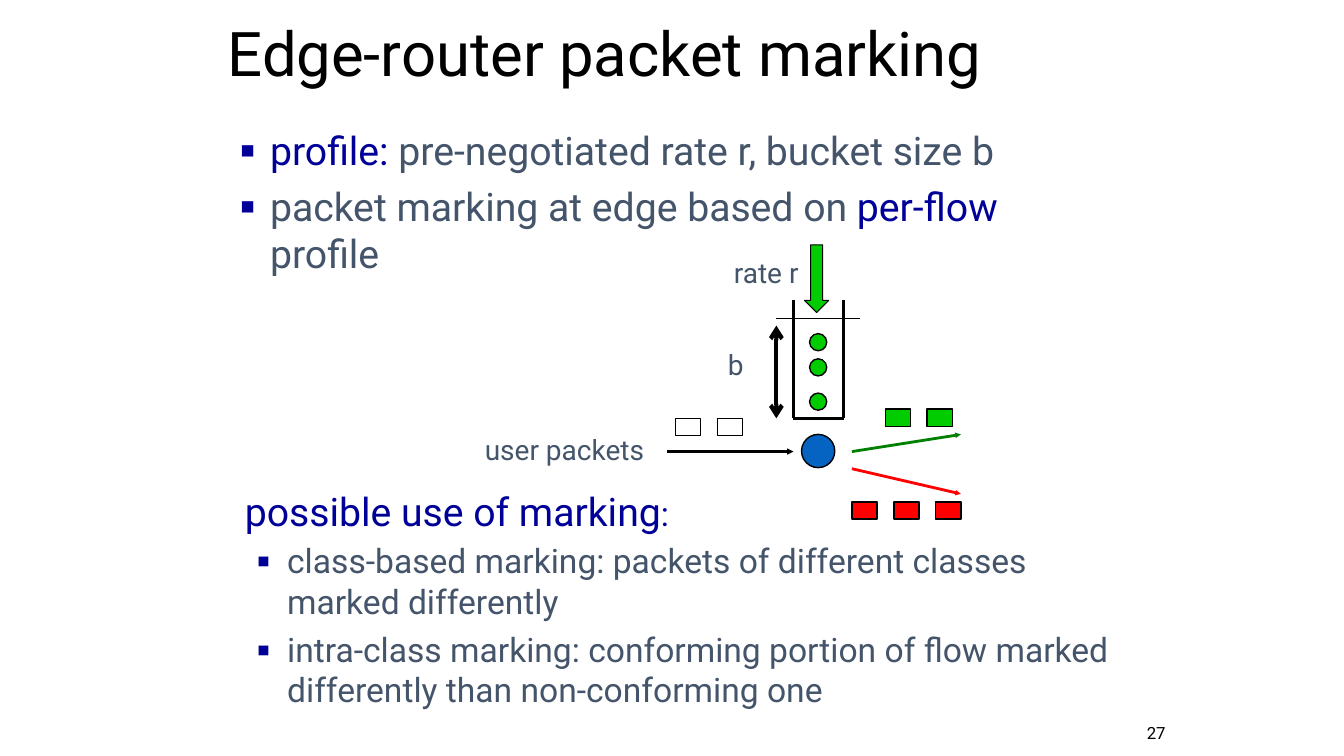
from pptx import Presentation
from pptx.dml.color import RGBColor
from pptx.enum.shapes import MSO_CONNECTOR, MSO_SHAPE
from pptx.enum.text import MSO_ANCHOR, PP_ALIGN
from pptx.oxml.ns import qn
from pptx.util import Inches, Pt
from lxml.etree import SubElement

THEME = {
    "font": "Roboto",
    "black": "000000", "white": "FFFFFF", "slate": "44546A", "navy": "000099",
    "token": "00CC00", "excess": "FF0000", "conforming": "008000", "meter": "0563C1",
    "title": 44, "body": 28, "detail": 24, "label": 20, "number": 12,
}

presentation = Presentation()
presentation.slide_width = Inches(13.33)
presentation.slide_height = Inches(7.5)
slide = presentation.slides.add_slide(presentation.slide_layouts[6])


def add_text(box, paragraphs, bullet=False, anchor=MSO_ANCHOR.TOP, align=PP_ALIGN.LEFT):
    frame = slide.shapes.add_textbox(*map(Inches, box)).text_frame
    frame.word_wrap = True
    frame.vertical_anchor = anchor
    for index, runs in enumerate(paragraphs):
        paragraph = frame.add_paragraph() if index else frame.paragraphs[0]
        paragraph.alignment = align
        if index:
            paragraph.space_before = Pt(0.23 * THEME[runs[0][1]])
        if bullet:
            properties = paragraph._p.get_or_add_pPr()
            properties.set("marL", str(Inches(0.3)))
            properties.set("indent", str(-Inches(0.3)))
            bullet_color = SubElement(properties, qn("a:buClr"))
            SubElement(bullet_color, qn("a:srgbClr"), val=THEME["navy"])
            SubElement(properties, qn("a:buFont"), typeface=THEME["font"])
            SubElement(properties, qn("a:buChar"), char="▪")
        for text, size, color in runs:
            run = paragraph.add_run()
            run.text = text
            run.font.name = THEME["font"]
            run.font.size = Pt(THEME[size])
            run.font.color.rgb = RGBColor.from_string(THEME[color])


add_text((2.16, 0.14, 8.5, 0.75), [[("Edge-router packet marking", "title", "black")]],
         anchor=MSO_ANCHOR.MIDDLE)
add_text((2.28, 1.2, 8.75, 1), [
    [("profile: ", "body", "navy"),
     ("pre-negotiated rate r, bucket size b", "body", "slate")],
    [("packet marking at edge based on ", "body", "slate"),
     ("per-flow", "body", "navy"),
     (" profile", "body", "slate")],
], bullet=True)
add_text((2.33, 4.79, 4.92, 0.57), [
    [("possible use of marking", "body", "navy"), (":", "detail", "navy")],
])
add_text((2.45, 5.31, 9, 2), [
    [("class-based marking: packets of different classes marked differently",
      "detail", "slate")],
    [("intra-class marking: conforming portion of flow marked differently than "
      "non-conforming one", "detail", "slate")],
], bullet=True)

labels = [
    ("user packets", (4.71, 4.24, 2.33, 0.43)),
    ("rate r", (7.18, 2.49, 1.25, 0.43)),
    ("b", (7.12, 3.4, 0.38, 0.44)),
]
for text, box in labels:
    add_text(box, [[(text, "label", "slate")]])
add_text((10.91, 7.12, 0.75, 0.3), [[("27", "number", "black")]],
         anchor=MSO_ANCHOR.MIDDLE, align=PP_ALIGN.RIGHT)

packet_rows = [
    (6.7, 4.15, 2, "white"),
    (8.78, 4.06, 2, "token"),
    (8.45, 4.98, 3, "excess"),
]
shapes = [
    (MSO_SHAPE.RECTANGLE, (left + 0.415 * column, top, 0.25, 0.17), color, 1)
    for left, top, count, color in packet_rows
    for column in range(count)
]
shapes += [
    (MSO_SHAPE.OVAL, (8.03, top, 0.17, 0.17), "token", 1) for top in (3.31, 3.56, 3.9)
]
shapes += [
    (MSO_SHAPE.OVAL, (7.95, 4.31, 0.33, 0.33), "meter", 1),
    (MSO_SHAPE.DOWN_ARROW, (7.98, 2.43, 0.24, 0.67), "token", 0.75),
]
for kind, box, color, line_width in shapes:
    shape = slide.shapes.add_shape(kind, *map(Inches, box))
    shape.shadow.inherit = False
    shape.fill.solid()
    shape.fill.fore_color.rgb = RGBColor.from_string(THEME[color])
    shape.line.color.rgb = RGBColor.from_string(THEME["black"])
    shape.line.width = Pt(line_width)

small_tail = [("tailEnd", "triangle", "sm")]
double_heads = [("headEnd", "arrow", "med"), ("tailEnd", "arrow", "med")]
lines = [
    ((7.87, 3.4, 7.87, 4.15), "black", 2.25, []),
    ((7.87, 4.15, 8.37, 4.15), "black", 2.25, []),
    ((8.37, 4.15, 8.37, 3.4), "black", 2.25, []),
    ((7.87, 3.4, 7.87, 2.98), "black", 2, []),
    ((8.37, 3.4, 8.37, 2.98), "black", 2, []),
    ((7.7, 3.16, 8.53, 3.16), "black", 0.75, []),
    ((6.62, 4.48, 7.87, 4.48), "black", 2.25, small_tail),
    ((8.45, 4.65, 9.53, 4.9), "excess", 2, small_tail),
    ((8.45, 4.48, 9.53, 4.31), "conforming", 2, small_tail),
    ((7.7, 3.23, 7.7, 4.15), "black", 3, double_heads),
]
for ends, color, line_width, arrowheads in lines:
    connector = slide.shapes.add_connector(MSO_CONNECTOR.STRAIGHT, *map(Inches, ends))
    connector.line.color.rgb = RGBColor.from_string(THEME[color])
    connector.line.width = Pt(line_width)
    for tag, kind, size in arrowheads:
        SubElement(connector.line._get_or_add_ln(), qn(f"a:{tag}"),
                   type=kind, w=size, len=size)
    SubElement(connector._element.spPr, qn("a:effectLst"))

presentation.save("out.pptx")
